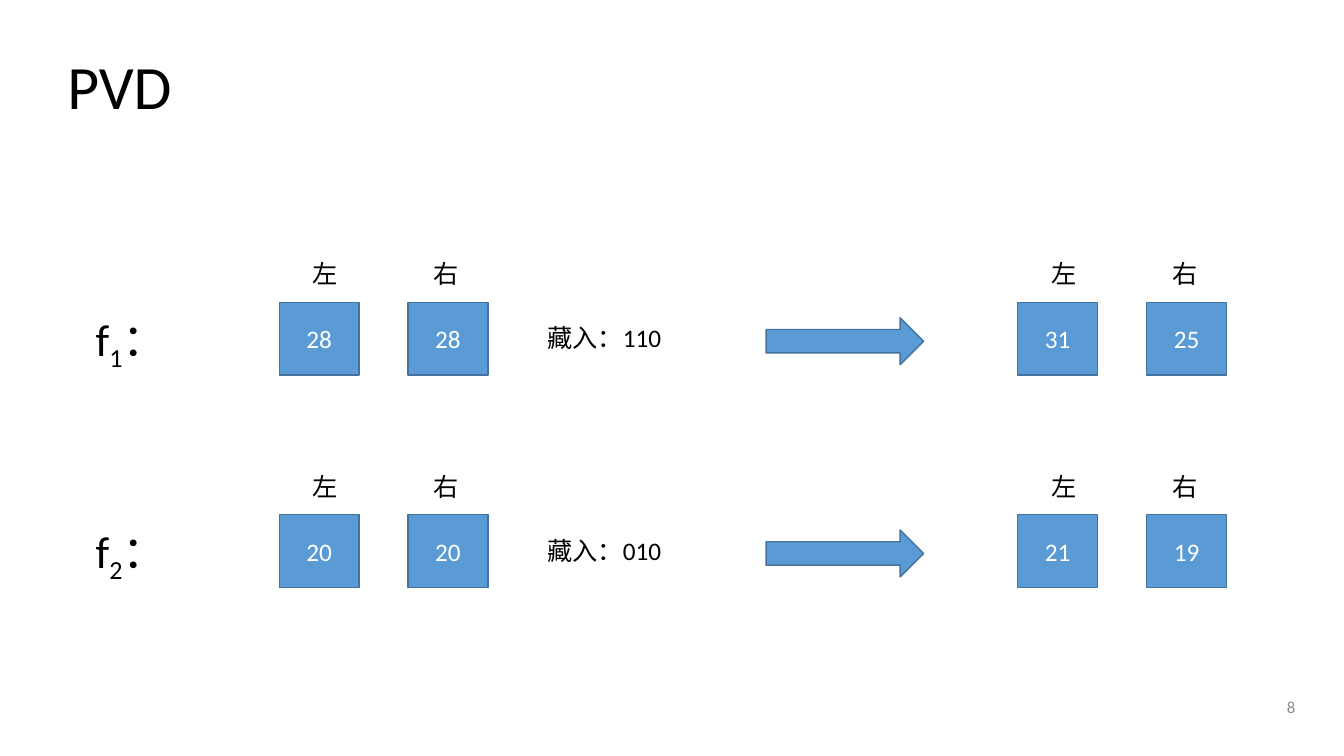
from lxml import etree
from pptx import Presentation
from pptx.dml.color import RGBColor
from pptx.enum.shapes import MSO_SHAPE
from pptx.enum.text import MSO_ANCHOR, PP_ALIGN
from pptx.oxml.ns import qn
from pptx.util import Pt

RECT, ARROW = MSO_SHAPE.RECTANGLE, MSO_SHAPE.RIGHT_ARROW
TOP, MIDDLE = MSO_ANCHOR.TOP, MSO_ANCHOR.MIDDLE
LEFT, CENTER, RIGHT = PP_ALIGN.LEFT, PP_ALIGN.CENTER, PP_ALIGN.RIGHT
COLORS = {"text": "000000", "number": "8C8C8C", "fill": "5B9BD5",
          "line": "43739E", "pixel": "FFFFFF"}

prs = Presentation()
prs.slide_width, prs.slide_height = Pt(960), Pt(540)
slide = prs.slides.add_slide(prs.slide_layouts[6])


def write(shape, parts, size, color="text", align=LEFT, anchor=TOP):
    """Fill a shape with one paragraph made of the given runs."""
    frame = shape.text_frame
    frame.word_wrap = True
    frame.vertical_anchor = anchor
    paragraph = frame.paragraphs[0]
    paragraph.alignment = align
    paragraph.font.name = "Calibri"
    paragraph.font.size = Pt(size)
    paragraph.font.color.rgb = RGBColor.from_string(COLORS[color])
    for part in parts:
        paragraph.add_run().text = part
    return paragraph


def add_block(kind, x, y, width, height):
    block = slide.shapes.add_shape(kind, Pt(x), Pt(y), Pt(width), Pt(height))
    block.shadow.inherit = False
    block.fill.solid()
    block.fill.fore_color.rgb = RGBColor.from_string(COLORS["fill"])
    block.line.color.rgb = RGBColor.from_string(COLORS["line"])
    block.line.width = Pt(1)
    return block


# Title and slide number
title = slide.shapes.add_textbox(Pt(41), Pt(11.5), Pt(828), Pt(104.4))
write(title, ["PVD"], 44, anchor=MIDDLE).line_spacing = 0.9
number = slide.shapes.add_textbox(Pt(716.4), Pt(490.5), Pt(216), Pt(28.8))
write(number, ["8"], 12, "number", RIGHT, MIDDLE)

# One row per function: pixel pair, embedded bits, resulting pixel pair
ROW_TOP, ROW_PITCH = 216, 151.6
PAIR_LEFTS, PIXEL_PITCH = (199.5, 727), 92
ROWS = [
    ("1", ("28", "28"), "110", ("31", "25")),
    ("2", ("20", "20"), "010", ("21", "19")),
]
for row, (index, before, bits, after) in enumerate(ROWS):
    y = ROW_TOP + row * ROW_PITCH

    # Function name with subscript
    function = slide.shapes.add_textbox(Pt(61.2), Pt(y + 3), Pt(120), Pt(46))
    name = write(function, ["f", index, "："], 32)
    name.runs[1]._r.get_or_add_rPr().set("baseline", "-25000")

    # Pixel pairs before and after embedding
    for pair_left, values in zip(PAIR_LEFTS, (before, after)):
        for column, value in enumerate(values):
            pixel = add_block(RECT, pair_left + column * PIXEL_PITCH, y, 57, 52)
            write(pixel, [value], 18, "pixel", CENTER, MIDDLE)
        sides = slide.shapes.add_textbox(
            Pt(pair_left + 17), Pt(y - 34.8), Pt(206.6), Pt(29))
        heading = write(sides, ["左\t右"], 18)
        tabs = etree.Element(qn("a:tabLst"))
        etree.SubElement(tabs, qn("a:tab"), pos=str(Pt(86.4)), algn="l")
        heading._p.get_or_add_pPr().insert(0, tabs)

    # Embedded bits and arrow
    embedded = slide.shapes.add_textbox(Pt(383.8), Pt(y + 11), Pt(154.8), Pt(29))
    write(embedded, ["藏入：" + bits], 18)
    add_block(ARROW, 547.2, y + 11, 112.5, 33.5)

prs.save("out.pptx")
